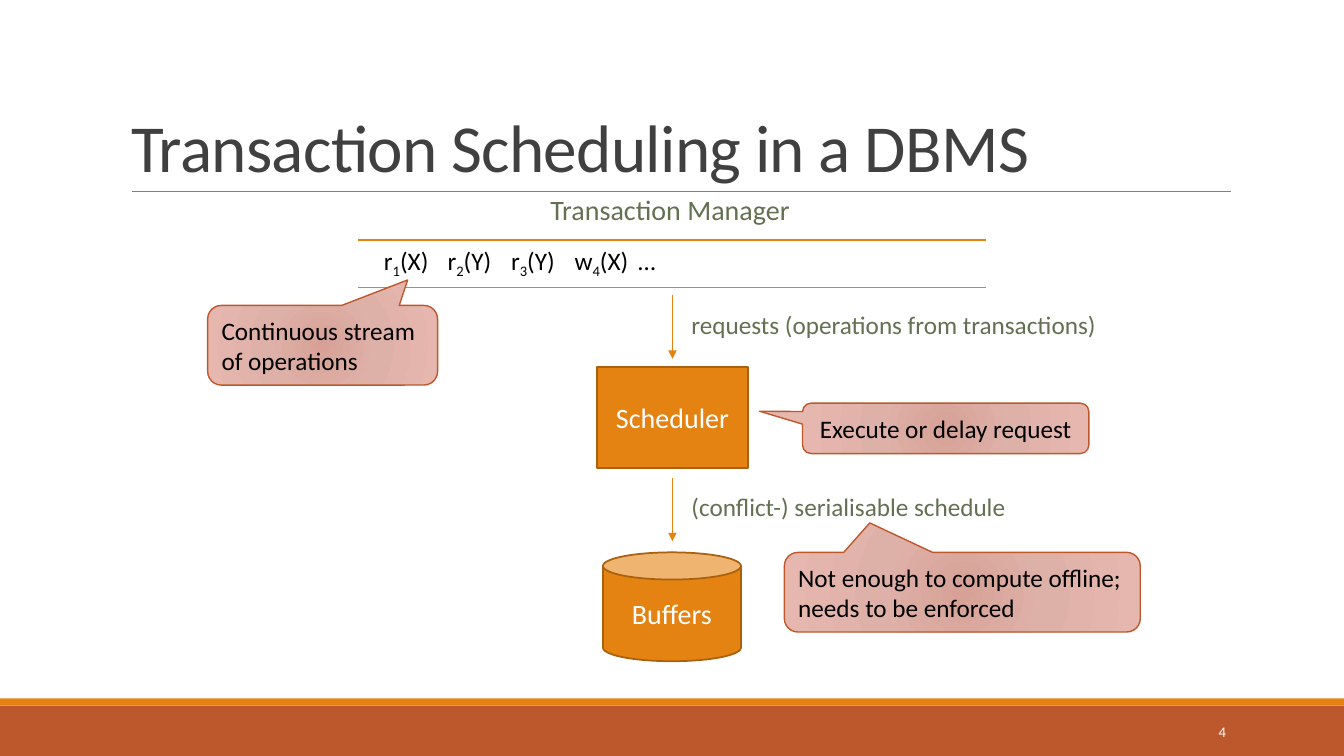
from lxml import etree
from pptx import Presentation
from pptx.dml.color import RGBColor
from pptx.enum.shapes import MSO_CONNECTOR, MSO_SHAPE
from pptx.enum.text import MSO_ANCHOR, MSO_AUTO_SIZE, PP_ALIGN
from pptx.oxml import parse_xml
from pptx.oxml.ns import qn
from pptx.util import Inches, Pt

RECT, CAN = MSO_SHAPE.RECTANGLE, MSO_SHAPE.CAN
BUBBLE = MSO_SHAPE.ROUNDED_RECTANGULAR_CALLOUT
STRAIGHT = MSO_CONNECTOR.STRAIGHT
TOP, MID, LOW = MSO_ANCHOR.TOP, MSO_ANCHOR.MIDDLE, MSO_ANCHOR.BOTTOM
LEFT, MIDST, RIGHT = PP_ALIGN.LEFT, PP_ALIGN.CENTER, PP_ALIGN.RIGHT
FIXED, GROW = MSO_AUTO_SIZE.NONE, MSO_AUTO_SIZE.SHAPE_TO_FIT_TEXT
FONT = "Calibri"
COLORS = {
    "black": "000000", "white": "FFFFFF", "title": "404040", "rule": "808080",
    "orange": "E48312", "edge": "A9610D", "rust": "BD582C", "green": "637052",
}
BLUSH = ((0, "D7A197"), (45, "DEB1A8"), (100, "E6B7AE"))


def rgb(name):
    return RGBColor.from_string(COLORS[name])


def style(frame, size, color, align=LEFT, anchor=TOP):
    frame.vertical_anchor = anchor
    for para in frame.paragraphs:
        para.alignment = align
        for run in para.runs:
            run.font.name = FONT
            run.font.size = Pt(size)
            run.font.color.rgb = rgb(color)


def add_label(slide, box, text, size, color):
    label = slide.shapes.add_textbox(*map(Inches, box))
    frame = label.text_frame
    frame.text = text
    frame.word_wrap = False
    frame.auto_size = GROW
    style(frame, size, color)
    return frame


def add_block(slide, kind, box, fill, edge=None, width=1.25):
    block = slide.shapes.add_shape(kind, *map(Inches, box))
    block.shadow.inherit = False
    block.fill.solid()
    block.fill.fore_color.rgb = rgb(fill)
    if edge:
        block.line.color.rgb = rgb(edge)
        block.line.width = Pt(width)
    else:
        block.line.fill.background()
    return block


def add_line(slide, start, end, color, width, arrow=False):
    line = slide.shapes.add_connector(STRAIGHT, *map(Inches, start + end))
    line.line.color.rgb = rgb(color)
    line.line.width = Pt(width)
    if arrow:
        etree.SubElement(line.line._get_or_add_ln(), qn("a:tailEnd"), type="triangle")
    etree.SubElement(line._element.spPr, qn("a:effectLst"))


def add_node(slide, kind, box, text):
    node = add_block(slide, kind, box, "orange", "edge")
    node.text_frame.text = text
    style(node.text_frame, 20, "white", MIDST, MID)


def add_bubble(slide, box, tip, text, align=LEFT):
    bubble = add_block(slide, BUBBLE, box, "white", "rust", 1)
    for i, value in enumerate(tip):
        bubble.adjustments[i] = value
    stops = "".join(
        f'<a:gs pos="{pos * 1000}"><a:srgbClr val="{tone}"/></a:gs>' for pos, tone in BLUSH
    )
    blend = parse_xml(
        '<a:gradFill xmlns:a="http://schemas.openxmlformats.org/drawingml/2006/main">'
        f'<a:gsLst>{stops}</a:gsLst><a:path path="circle">'
        '<a:fillToRect l="100000" t="100000" r="100000" b="100000"/></a:path></a:gradFill>'
    )
    props = bubble._element.spPr
    props.replace(props.find(qn("a:solidFill")), blend)
    frame = bubble.text_frame
    frame.word_wrap = True
    frame.text = text
    style(frame, 18, "black", align, MID)


def add_frame(slide, box):
    x, y, w, h = box
    add_block(slide, RECT, (x, y + h - 0.5, w, 0.5), "rust")
    add_block(slide, RECT, (x, y + h - 0.57, w, 0.07), "orange")
    add_line(slide, (x + 1.31, y + 1.9), (x + 12.21, y + 1.9), "rule", 0.5)
    title = slide.shapes.title
    title.left, title.top = Inches(x + 1.2), Inches(y + 0.31)
    title.width, title.height = Inches(11), Inches(1.59)
    frame = title.text_frame
    frame.text = "Transaction Scheduling in a DBMS"
    frame.auto_size = FIXED
    style(frame, 48, "title", LEFT, LOW)
    para = frame.paragraphs[0]
    para.line_spacing = 0.85
    para.runs[0].font._element.set("spc", "-50")
    number = slide.shapes.add_textbox(*map(Inches, (x + 10.83, y + 7.06, 1.43, 0.4)))
    number.text_frame.text = "4"
    style(number.text_frame, 10.5, "white", RIGHT, MID)


def add_queue(slide, box):
    x, y, w, h = box
    step = 0.63
    add_label(slide, (x + 1.81, y - 0.52, 2.6, 0.44), "Transaction Manager", 20, "green")
    for top in (y, y + h):
        add_line(slide, (x, top), (x + w, top), "orange", 1)
    ops = (("r", "X", 0.66), ("r", "Y", 0.65), ("r", "Y", 0.65), ("w", "X", 0.75))
    for i, (verb, item, width) in enumerate(ops):
        spot = (x + 0.16 + i * step, y, width, 0.4)
        frame = add_label(slide, spot, verb, 18, "black")
        para = frame.paragraphs[0]
        sub = para.add_run()
        sub.text = str(i + 1)
        para.add_run().text = f"({item})"
        style(frame, 18, "black")
        sub.font._element.set("baseline", "-25000")
    add_label(slide, (x + 0.16 + len(ops) * step, y, 0.38, 0.4), "…", 18, "black")


def add_flow(slide, box):
    x, y, w, h = box
    mid = x + w / 2
    add_node(slide, RECT, (x, y + 0.71, w, 1), "Scheduler")
    add_node(slide, CAN, (mid - 0.69, y + h - 1.08, 1.37, 1.08), "Buffers")
    steps = (
        (0, 4.26, "requests (operations from transactions)"),
        (1.81, 3.41, "(conflict-) serialisable schedule"),
    )
    for drop, width, text in steps:
        top = y + drop
        add_line(slide, (mid, top), (mid, top + 0.63), "orange", 1.25, True)
        add_label(slide, (mid + 0.09, top + 0.09, width, 0.4), text, 18, "green")


def add_notes(slide, box):
    x, y, w, h = box
    add_bubble(slide, (x, y, 2.28, 0.79), (0.37, -0.82, 0.17),
               "Continuous stream of operations")
    add_bubble(slide, (x + 5.9, y + 0.97, 2.84, 0.5), (-0.65, -0.34, 0.17),
               "Execute or delay request", MIDST)
    add_bubble(slide, (x + w - 3.53, y + h - 0.79, 3.53, 0.79), (-0.26, -0.87, 0.17),
               "Not enough to compute offline;\vneeds to be enforced")


def main():
    deck = Presentation()
    deck.slide_width, deck.slide_height = Inches(13.33), Inches(7.5)
    slide = deck.slides.add_slide(deck.slide_layouts[5])
    add_frame(slide, (0, 0, 13.33, 7.5))
    add_queue(slide, (3.55, 2.38, 6.23, 0.47))
    add_flow(slide, (5.92, 2.93, 1.5, 3.63))
    add_notes(slide, (2.06, 3.03, 9.25, 3.24))
    deck.save("out.pptx")


if __name__ == "__main__":
    main()
